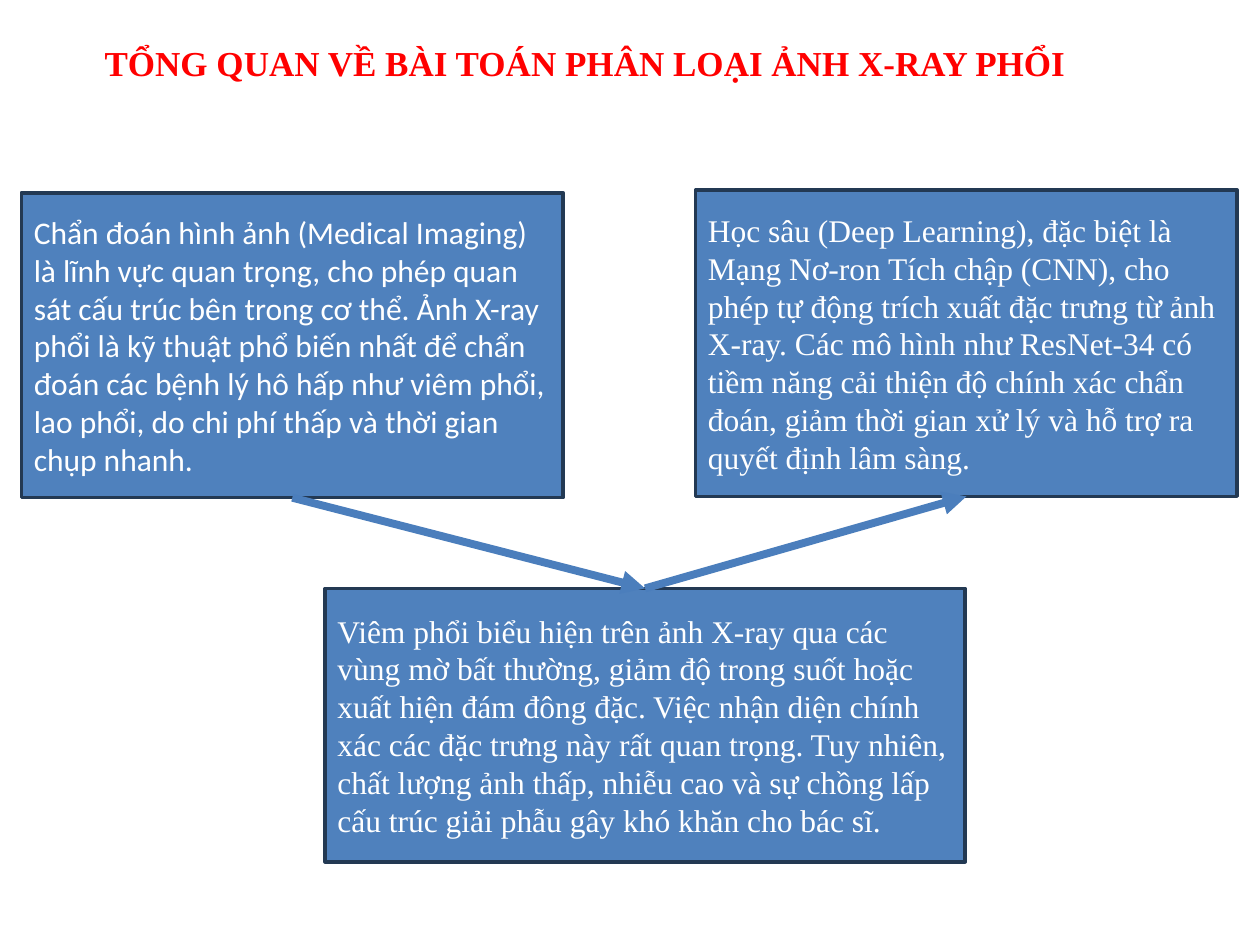
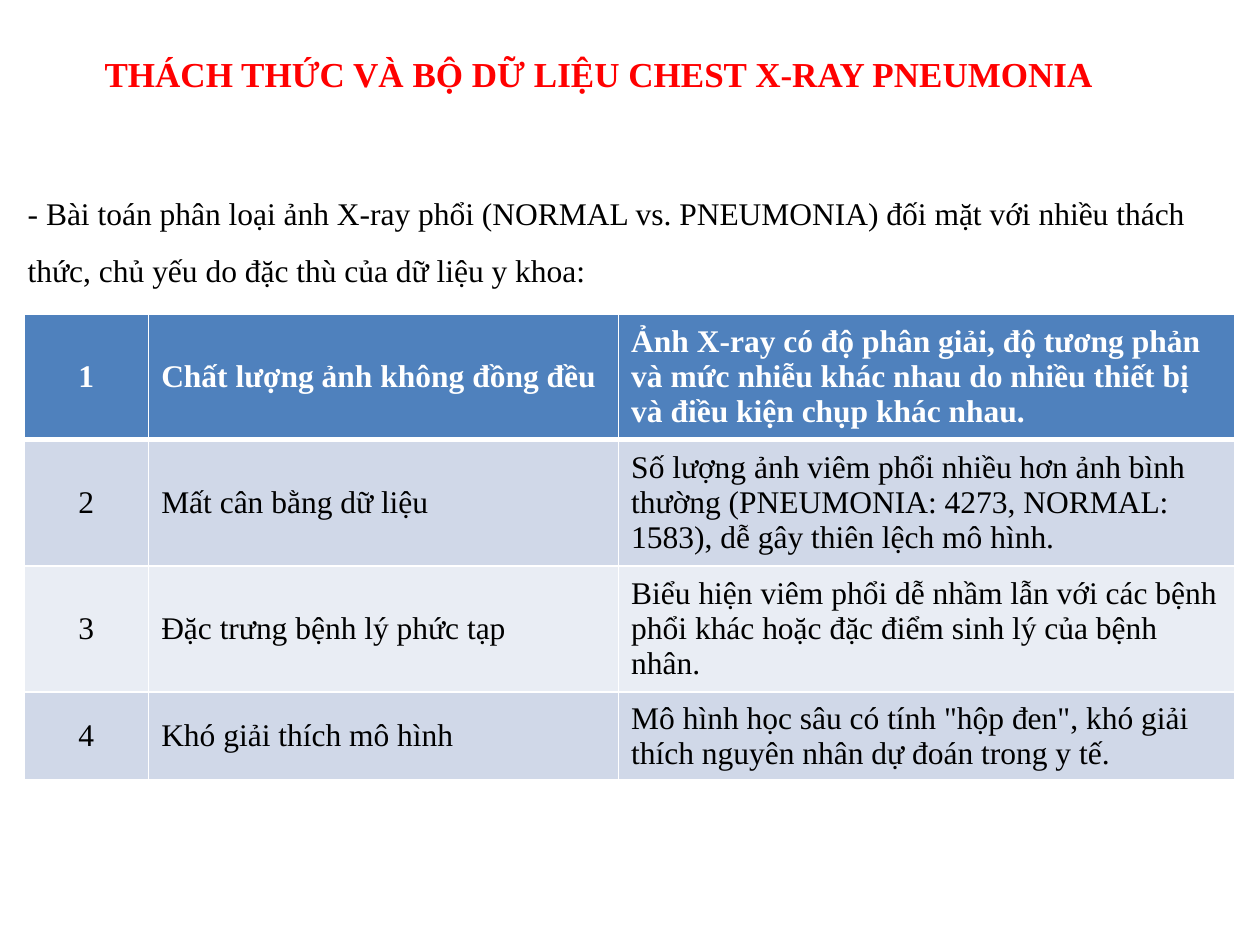
from pptx import Presentation
from pptx.dml.color import RGBColor as Rgb
from pptx.enum.shapes import MSO_CONNECTOR as Link, MSO_SHAPE as Form
from pptx.enum.text import MSO_ANCHOR as Anchor, PP_ALIGN as Align
from pptx.oxml.ns import qn
from pptx.util import Inches, Pt
from lxml.etree import SubElement as Sub

WIDE, HIGH = Inches(10), Inches(7.5)
COLS, ROWS = 100, 75
SERIF, SANS = "Times New Roman", "Calibri"
RED, BLUE, NAVY, STEEL = "FF0000", "4F81BD", "233953", "4B7EBC"
WHITE, BLACK, DARK, LIGHT = "FFFFFF", "000000", "D0D8E8", "E9EDF4"
TOP, BOTTOM = 0, 2


def tint(code):
    """Turn a hex string into a colour."""
    return Rgb.from_string(code)


def place(box):
    """Turn a box in grid columns and rows into slide lengths."""
    x, y, w, h = box
    return (round(x * WIDE / COLS), round(y * HIGH / ROWS),
            round(w * WIDE / COLS), round(h * HIGH / ROWS))


def write(frame, text, size=18, font=SERIF, color=BLACK, bold=False,
          align=Align.LEFT, space=None):
    """Write one formatted paragraph into a text frame."""
    frame.word_wrap = True
    para = frame.paragraphs[0]
    para.alignment = align
    if space:
        para.line_spacing = space
    run = para.add_run()
    run.text = text
    run.font.size, run.font.name, run.font.bold = Pt(size), font, bold
    run.font.color.rgb = tint(color)


def label(slide, box, text, **style):
    """Add a text box without margins."""
    frame = slide.shapes.add_textbox(*place(box)).text_frame
    frame.margin_left = frame.margin_right = 0
    frame.margin_top = frame.margin_bottom = 0
    write(frame, text, **style)


def begin(deck, title, top):
    """Add a blank slide with its red title."""
    slide = deck.slides.add_slide(deck.slide_layouts[6])
    label(slide, (8.3, top, 80.3, 3.4), title, size=20, color=RED, bold=True)
    return slide


def panel(slide, box, text, font=SERIF):
    """Add a blue box of white text."""
    shape = slide.shapes.add_shape(Form.RECTANGLE, *place(box))
    shape.shadow.inherit = False
    shape.fill.solid()
    shape.fill.fore_color.rgb = tint(BLUE)
    shape.line.color.rgb = tint(NAVY)
    shape.line.width = Pt(2)
    shape.text_frame.vertical_anchor = Anchor.MIDDLE
    write(shape.text_frame, text, font=font, color=WHITE)
    return shape


def arrow(slide, start, side, goal, end):
    """Join two panels with an arrow."""
    line = slide.shapes.add_connector(Link.STRAIGHT, 0, 0, 0, 0)
    line.begin_connect(start, side)
    line.end_connect(goal, end)
    line.line.color.rgb = tint(STEEL)
    line.line.width = Pt(4.5)
    Sub(line.line._get_or_add_ln(), qn("a:tailEnd"), type="triangle")
    Sub(line._element.spPr, qn("a:effectLst"))


def flow(slide, box, left, middle, right):
    """Place two panels above a third and link them in order."""
    x, y, w, h = box
    wide, high = 43, 24.3
    first = panel(slide, (x, y + 0.2, wide, high - 0.1), left, SANS)
    mid = panel(slide, (x + 24.1, y + h - 21.7, 50.8, 21.7), middle)
    arrow(slide, first, BOTTOM, mid, TOP)
    last = panel(slide, (x + w - wide, y, wide, high), right)
    arrow(slide, mid, TOP, last, BOTTOM)


def edge(cell, side, width):
    """Draw one white border of a cell."""
    line = Sub(cell._tc.get_or_add_tcPr(), qn(f"a:ln{side}"),
               w=str(Pt(width)))
    Sub(Sub(line, qn("a:solidFill")), qn("a:srgbClr"), val=WHITE)


def grid(slide, box, parts, rows):
    """Add a numbered table with a blue head row and banded rows."""
    table = slide.shapes.add_table(len(rows), len(parts), *place(box)).table
    for col, part in zip(table.columns, parts):
        col.width = round(part * WIDE / COLS)
    for r, texts in enumerate(rows):
        head = r == 0
        fill = BLUE if head else DARK if r % 2 else LIGHT
        for c, text in enumerate((str(r + 1), *texts)):
            cell = table.cell(r, c)
            cell.vertical_anchor = Anchor.MIDDLE
            for side in "LRTB":
                thick = (head and side == "B") or (r == 1 and side == "T")
                edge(cell, side, 3 if thick else 1)
            cell.fill.solid()
            cell.fill.fore_color.rgb = tint(fill)
            write(cell.text_frame, text, bold=head,
                  color=WHITE if head else BLACK,
                  align=Align.LEFT if c else Align.CENTER)


def survey(deck):
    """Build the overview slide."""
    slide = begin(deck, "TỔNG QUAN VỀ BÀI TOÁN PHÂN LOẠI ẢNH X-RAY PHỔI", 3.3)
    flow(
        slide, (1.7, 15.1, 96.5, 53.3),
        "Chẩn đoán hình ảnh (Medical Imaging) là lĩnh vực quan trọng, "
        "cho phép quan sát cấu trúc bên trong cơ thể. Ảnh X-ray phổi là "
        "kỹ thuật phổ biến nhất để chẩn đoán các bệnh lý hô hấp như viêm "
        "phổi, lao phổi, do chi phí thấp và thời gian chụp nhanh.",
        "Viêm phổi biểu hiện trên ảnh X-ray qua các vùng mờ bất thường, "
        "giảm độ trong suốt hoặc xuất hiện đám đông đặc. Việc nhận diện "
        "chính xác các đặc trưng này rất quan trọng. Tuy nhiên, chất lượng "
        "ảnh thấp, nhiễu cao và sự chồng lấp cấu trúc giải phẫu gây khó "
        "khăn cho bác sĩ.",
        "Học sâu (Deep Learning), đặc biệt là Mạng Nơ-ron Tích chập (CNN), "
        "cho phép tự động trích xuất đặc trưng từ ảnh X-ray. Các mô hình "
        "như ResNet-34 có tiềm năng cải thiện độ chính xác chẩn đoán, giảm "
        "thời gian xử lý và hỗ trợ ra quyết định lâm sàng.")


def issues(deck):
    """Build the slide of challenges."""
    slide = begin(deck, "THÁCH THỨC VÀ BỘ DỮ LIỆU CHEST X-RAY PNEUMONIA", 4.2)
    label(slide, (2.2, 13.9, 96.1, 8.5),
          "- Bài toán phân loại ảnh X-ray phổi (NORMAL vs. PNEUMONIA) đối "
          "mặt với nhiều thách thức, chủ yếu do đặc thù của dữ liệu y khoa:",
          space=1.5)
    rows = [
        ("Chất lượng ảnh không đồng đều",
         "Ảnh X-ray có độ phân giải, độ tương phản và mức nhiễu khác nhau "
         "do nhiều thiết bị và điều kiện chụp khác nhau."),
        ("Mất cân bằng dữ liệu",
         "Số lượng ảnh viêm phổi nhiều hơn ảnh bình thường (PNEUMONIA: "
         "4273, NORMAL: 1583), dễ gây thiên lệch mô hình."),
        ("Đặc trưng bệnh lý phức tạp",
         "Biểu hiện viêm phổi dễ nhầm lẫn với các bệnh phổi khác hoặc đặc "
         "điểm sinh lý của bệnh nhân."),
        ("Khó giải thích mô hình",
         'Mô hình học sâu có tính "hộp đen", khó giải thích nguyên nhân '
         "dự đoán trong y tế."),
    ]
    grid(slide, (1.9, 24.9, 96.1, 4.1 * len(rows)), (9.9, 37.3, 48.9), rows)


def main():
    """Build and save the deck."""
    deck = Presentation()
    deck.slide_width, deck.slide_height = WIDE, HIGH
    survey(deck)
    issues(deck)
    deck.save("out.pptx")


if __name__ == "__main__":
    main()
